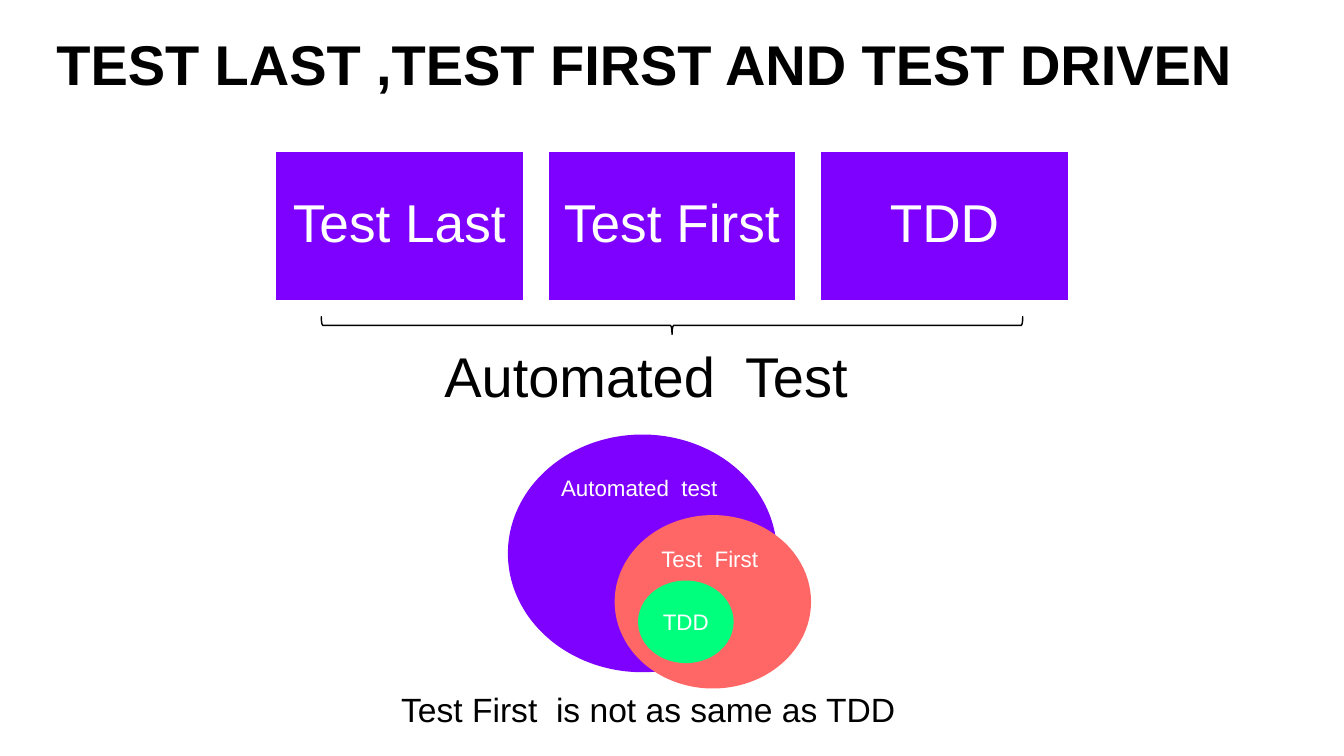
import pptx
import pptx.util
import pptx.dml.color
import pptx.enum.shapes
import pptx.enum.text

Cm = pptx.util.Cm
Pt = pptx.util.Pt
RGBColor = pptx.dml.color.RGBColor
Shape = pptx.enum.shapes.MSO_SHAPE
Anchor = pptx.enum.text.MSO_ANCHOR
Align = pptx.enum.text.PP_ALIGN

BLACK = RGBColor(0x00, 0x00, 0x00)
WHITE = RGBColor(0xFF, 0xFF, 0xFF)
VIOLET = RGBColor(0x7E, 0x00, 0xFF)
CORAL = RGBColor(0xFF, 0x66, 0x66)
GREEN = RGBColor(0x00, 0xFF, 0x7D)

TITLE = "TEST LAST ,TEST FIRST AND TEST DRIVEN"
KINDS = ["Test Last ", "Test First ", "TDD"]
NOTES = [
    ("Automated  Test", 40, (11.2, 8.61, 12.88, 1.83)),
    ("Test First  is not as same as TDD", 24, (10.11, 17.35, 13.64, 1.14)),
]
OVALS = [
    ("Automated  test ", VIOLET, Anchor.TOP, (12.8, 10.95, 6.78, 5.99)),
    ("Test  First ", CORAL, Anchor.TOP, (15.49, 12.98, 4.95, 4.37)),
    ("TDD", GREEN, Anchor.MIDDLE, (16.08, 14.63, 2.41, 2.08)),
]
WIDE, HIGH = 33.87, 19.05
BOX_W, BOX_H, BOX_TOP, GAP = 6.25, 3.76, 3.81, 0.62
SPAN, DEPTH, BRACE_Y = 17.68, 0.46, 8.2


def write(shape, text, size, color=WHITE, bold=False, align=Align.CENTER,
          anchor=Anchor.MIDDLE, inset=(0.25, 0.13, 0.25, 0.13), line=1.0):
    frame = shape.text_frame
    frame.word_wrap = True
    frame.auto_size = pptx.enum.text.MSO_AUTO_SIZE.NONE
    frame.vertical_anchor = anchor
    (frame.margin_left, frame.margin_top,
     frame.margin_right, frame.margin_bottom) = map(Cm, inset)
    para = frame.paragraphs[0]
    para.alignment = align
    para.line_spacing = line
    run = para.add_run()
    run.text = text
    run.font.name = "Arial"
    run.font.size = Pt(size)
    run.font.bold = bold
    run.font.color.rgb = color


def draw(slide, kind, place, fill=None, edge=None):
    shape = slide.shapes.add_shape(kind, *map(Cm, place))
    shape.shadow.inherit = False
    if fill is None:
        shape.fill.background()
    else:
        shape.fill.solid()
        shape.fill.fore_color.rgb = fill
    if edge is None:
        shape.line.fill.background()
    else:
        shape.line.color.rgb = edge
        shape.line.width = Pt(1)
    return shape


def main():
    deck = pptx.Presentation()
    deck.slide_width, deck.slide_height = Cm(WIDE), Cm(HIGH)
    slide = deck.slides.add_slide(deck.slide_layouts[5])

    title = slide.shapes.title
    title.left, title.top, title.width, title.height = map(
        Cm, (1.42, 1.07, 32.44, 2.74))
    write(title, TITLE, 40, color=BLACK, bold=True, align=Align.LEFT,
          anchor=Anchor.TOP, inset=(0, 0.13, 0, 0), line=0.7)

    row = len(KINDS) * BOX_W + (len(KINDS) - 1) * GAP
    left = (WIDE - row) / 2
    for num, text in enumerate(KINDS):
        place = (left + num * (BOX_W + GAP), BOX_TOP, BOX_W, BOX_H)
        box = draw(slide, Shape.RECTANGLE, place, VIOLET, WHITE)
        write(box, text, 38, inset=(0.4,) * 4, line=0.9)

    place = ((WIDE - DEPTH) / 2, BRACE_Y - SPAN / 2, DEPTH, SPAN)
    brace = draw(slide, Shape.RIGHT_BRACE, place, edge=BLACK)
    brace.rotation = 90

    for text, size, place in NOTES:
        note = slide.shapes.add_textbox(*map(Cm, place))
        write(note, text, size, color=BLACK, align=Align.LEFT,
              anchor=Anchor.TOP, inset=(0, 0, 0, 0.13))

    for text, fill, anchor, place in OVALS:
        oval = draw(slide, Shape.OVAL, place, fill)
        write(oval, text, 16, anchor=anchor)

    deck.save("out.pptx")


if __name__ == "__main__":
    main()
